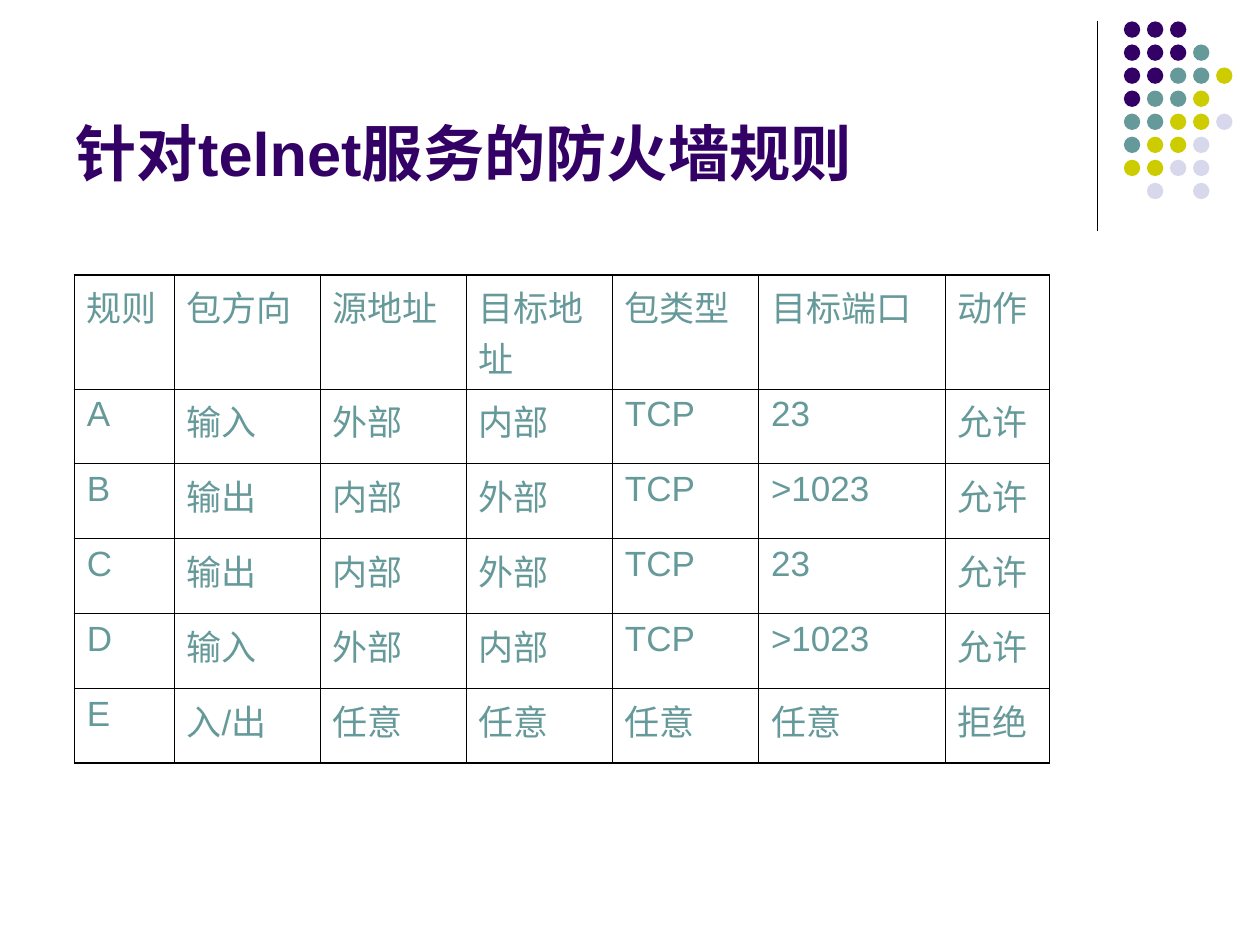
from dataclasses import dataclass

from lxml import etree
from pptx import Presentation
from pptx.dml.color import RGBColor
from pptx.enum.shapes import MSO_CONNECTOR, MSO_SHAPE
from pptx.enum.text import MSO_ANCHOR, MSO_AUTO_SIZE, PP_ALIGN
from pptx.oxml.ns import qn
from pptx.util import Inches, Pt

LINE = MSO_CONNECTOR.STRAIGHT
OVAL = MSO_SHAPE.OVAL
BOTTOM = MSO_ANCHOR.BOTTOM
NO_AUTOFIT = MSO_AUTO_SIZE.NONE
LEFT = PP_ALIGN.LEFT


@dataclass(frozen=True)
class Theme:
    font: str = "Arial"
    title_size: float = 35
    table_size: float = 20
    purple: str = "330066"
    teal: str = "669999"
    olive: str = "CCCC00"
    lilac: str = "D8D8EC"
    rule: str = "000000"
    divider: float = 0.75
    inner_border: float = 0.45
    outer_border: float = 1.08


THEME = Theme()
DOT_COLORS = {"P": THEME.purple, "T": THEME.teal, "O": THEME.olive, "L": THEME.lilac}
DOT_ROWS = ["PPP", "PPPT", "PPTTO", "PTTO", "TTOOL", "TOOL", "OOLL", ".L.L"]
DOT_LEFT, DOT_TOP, DOT_SIZE, DOT_PITCH = 8.92, 0.17, 0.13, 0.183

TABLE_LEFT, TABLE_TOP, TABLE_HEIGHT = 0.59, 2.18, 3.74
HEADER_HEIGHT = 0.77
COLUMN_WIDTHS = [0.79, 1.16, 1.16, 1.16, 1.16, 1.48, 0.83]
RULES = [
    ["规则", "包方向", "源地址", "目标地址", "包类型", "目标端口", "动作"],
    ["A", "输入", "外部", "内部", "TCP", "23", "允许"],
    ["B", "输出", "内部", "外部", "TCP", ">1023", "允许"],
    ["C", "输出", "内部", "外部", "TCP", "23", "允许"],
    ["D", "输入", "外部", "内部", "TCP", ">1023", "允许"],
    ["E", "入/出", "任意", "任意", "任意", "任意", "拒绝"],
]


def format_text(tf, size, color, bold=False):
    p = tf.paragraphs[0]
    p.alignment = LEFT
    font = p.runs[0].font
    font.name = THEME.font
    font.size = Pt(size)
    font.bold = bold
    font.color.rgb = RGBColor.from_string(color)


def add_title(s, text):
    sp = s.shapes.title
    sp.left, sp.top, sp.width, sp.height = map(Inches, (0.5, 0.13, 8.25, 1.42))
    tf = sp.text_frame
    tf.text = text
    tf.word_wrap = True
    tf.auto_size = NO_AUTOFIT
    tf.vertical_anchor = BOTTOM
    format_text(tf, THEME.title_size, THEME.purple, bold=True)


def add_divider(s, x, top, bottom):
    line = s.shapes.add_connector(LINE, *map(Inches, (x, top, x, bottom)))
    line.line.color.rgb = RGBColor.from_string(THEME.rule)
    line.line.width = Pt(THEME.divider)
    etree.SubElement(line._element.spPr, qn("a:effectLst"))


def add_dots(s):
    group = s.shapes.add_group_shape()
    for row, keys in enumerate(DOT_ROWS):
        for col, key in enumerate(keys):
            if key not in DOT_COLORS:
                continue
            x, y = DOT_LEFT + col * DOT_PITCH, DOT_TOP + row * DOT_PITCH
            dot = group.shapes.add_shape(OVAL, *map(Inches, (x, y, DOT_SIZE, DOT_SIZE)))
            dot.shadow.inherit = False
            dot.fill.solid()
            dot.fill.fore_color.rgb = RGBColor.from_string(DOT_COLORS[key])
            dot.line.fill.background()


def set_borders(cell, outer_sides):
    tc_pr = cell._tc.get_or_add_tcPr()
    for i, side in enumerate("LRTB"):
        width = THEME.outer_border if side in outer_sides else THEME.inner_border
        ln = etree.Element(qn(f"a:ln{side}"), w=str(Pt(width)))
        fill = etree.SubElement(ln, qn("a:solidFill"))
        etree.SubElement(fill, qn("a:srgbClr"), val=THEME.rule)
        tc_pr.insert(i, ln)


def add_table(s, rows):
    n_rows, n_cols = len(rows), len(COLUMN_WIDTHS)
    box = map(Inches, (TABLE_LEFT, TABLE_TOP, sum(COLUMN_WIDTHS), TABLE_HEIGHT))
    table = s.shapes.add_table(n_rows, n_cols, *box).table
    table.first_row = table.horz_banding = False
    for column, width in zip(table.columns, COLUMN_WIDTHS):
        column.width = Inches(width)
    body_height = (TABLE_HEIGHT - HEADER_HEIGHT) / (n_rows - 1)
    for r, values in enumerate(rows):
        table.rows[r].height = Inches(body_height if r else HEADER_HEIGHT)
        for c, value in enumerate(values):
            cell = table.cell(r, c)
            cell.text_frame.text = value
            format_text(cell.text_frame, THEME.table_size, THEME.teal)
            cell.fill.background()
            edges = {"L": c == 0, "R": c == n_cols - 1, "T": r == 0, "B": r == n_rows - 1}
            set_borders(cell, [side for side, outer in edges.items() if outer])


def main():
    prs = Presentation()
    prs.slide_width, prs.slide_height = Inches(10), Inches(7.5)
    s = prs.slides.add_slide(prs.slide_layouts[5])
    add_divider(s, 8.71, 0.17, 1.83)
    add_dots(s)
    add_title(s, "针对telnet服务的防火墙规则")
    add_table(s, RULES)
    prs.save("out.pptx")


if __name__ == "__main__":
    main()
